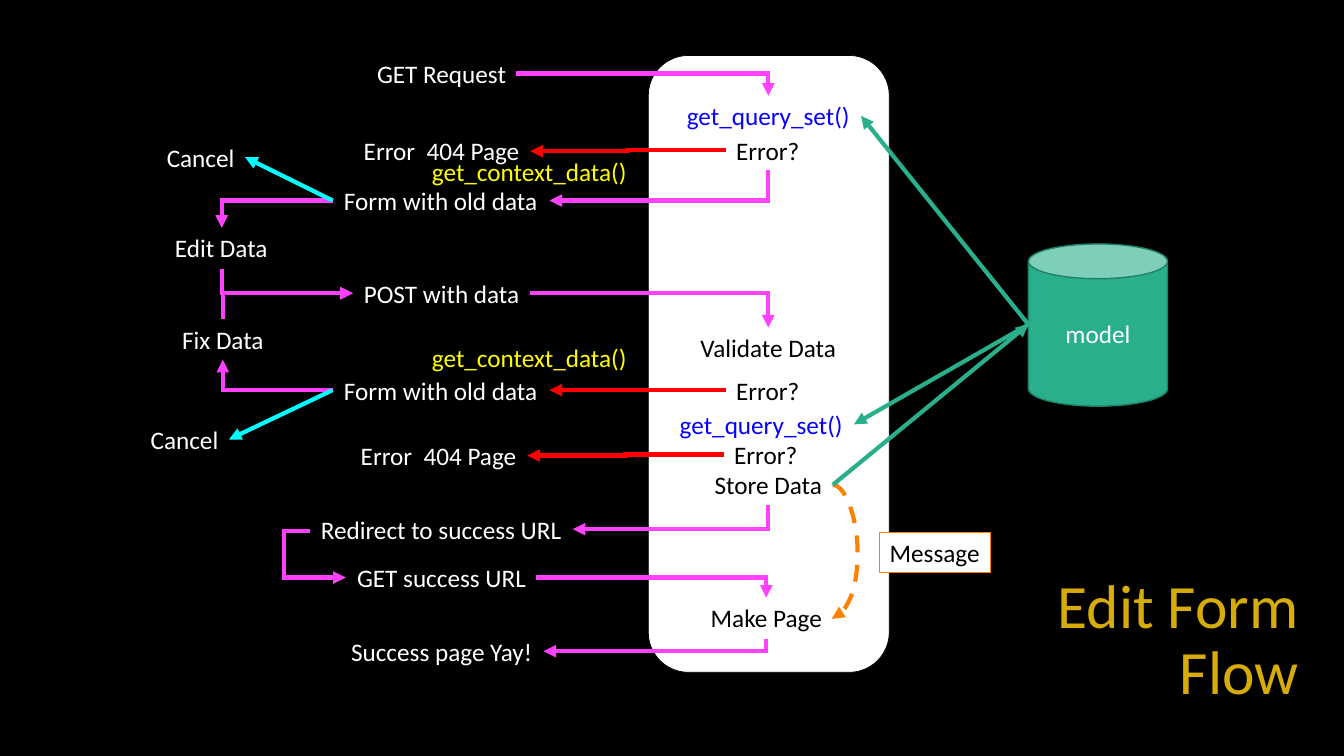
from dataclasses import dataclass
from enum import Enum
from typing import Optional

from lxml.etree import SubElement
from pptx import Presentation
from pptx.dml.color import RGBColor
from pptx.enum.dml import MSO_LINE
from pptx.enum.shapes import MSO_CONNECTOR, MSO_SHAPE
from pptx.enum.text import MSO_ANCHOR, PP_ALIGN
from pptx.oxml.ns import qn
from pptx.shapes.autoshape import Shape
from pptx.slide import Slide
from pptx.util import Inches, Pt

BLACK = RGBColor(0x00, 0x00, 0x00)
WHITE = RGBColor(0xFF, 0xFF, 0xFF)
GOLD = RGBColor(0xD7, 0xAC, 0x08)
BLUE = RGBColor(0x05, 0x00, 0xFF)
YELLOW = RGBColor(0xFF, 0xFF, 0x00)
MAGENTA = RGBColor(0xFF, 0x40, 0xFF)
RED = RGBColor(0xFF, 0x00, 0x00)
CYAN = RGBColor(0x00, 0xFD, 0xFF)
GREEN = RGBColor(0x29, 0xAF, 0x8C)
DARK_GREEN = RGBColor(0x1E, 0x81, 0x68)
ORANGE = RGBColor(0xFF, 0x7F, 0x00)

FONT = "Calibri"
LABEL_HEIGHT = 0.4


class Route(Enum):
    STRAIGHT = "line"
    ACROSS_FIRST = "bentConnector2"
    DOWN_FIRST = "bentConnector2 turned"
    STEPPED = "bentConnector3"
    CURVED = "curvedConnector3"


@dataclass(frozen=True)
class Label:
    text: str
    left: float
    top: float
    width: float
    color: RGBColor = WHITE


@dataclass(frozen=True)
class Arrow:
    start: tuple[float, float]
    end: tuple[float, float]
    color: RGBColor = MAGENTA
    route: Route = Route.STRAIGHT
    bend: Optional[float] = None  # share of the width where the route turns
    dashed: bool = False


LABELS = [
    # Browser side
    Label("GET Request", 3.63, 0.53, 1.5),
    Label("Error  404 Page", 3.5, 1.29, 1.76),
    Label("get_context_data()", 4.17, 1.5, 2.16, YELLOW),
    Label("Form with old data", 3.3, 1.79, 2.14),
    Label("Cancel", 1.55, 1.36, 0.88),
    Label("Edit Data", 1.63, 2.26, 1.13),
    Label("POST with data", 3.5, 2.71, 1.76),
    Label("Fix Data", 1.7, 3.17, 1.02),
    Label("get_context_data()", 4.17, 3.35, 2.16, YELLOW),
    Label("Form with old data", 3.3, 3.67, 2.14),
    Label("Cancel", 1.39, 4.16, 0.88),
    Label("Error  404 Page", 3.47, 4.32, 1.76),
    Label("Redirect to success URL", 3.07, 5.05, 2.61),
    Label("GET success URL", 3.43, 5.53, 1.9),
    Label("Success page Yay!", 3.37, 6.26, 2.02),
    # Server side
    Label("get_query_set()", 6.7, 0.95, 1.84, BLUE),
    Label("Error?", 7.2, 1.29, 0.83, BLACK),
    Label("Validate Data", 6.84, 3.25, 1.56, BLACK),
    Label("Error?", 7.2, 3.67, 0.83, BLACK),
    Label("get_query_set()", 6.63, 4.01, 1.84, BLUE),
    Label("Error?", 7.18, 4.31, 0.83, BLACK),
    Label("Store Data", 6.98, 4.61, 1.28, BLACK),
    Label("Make Page", 6.94, 5.93, 1.32, BLACK),
]

ARROWS = [
    # Showing the form
    Arrow((5.12, 0.73), (7.62, 0.95), route=Route.ACROSS_FIRST),
    Arrow((7.2, 1.49), (5.26, 1.5), RED, Route.STEPPED),
    Arrow((7.62, 1.69), (5.45, 1.99), route=Route.DOWN_FIRST),
    Arrow((3.3, 1.99), (2.2, 2.26), route=Route.ACROSS_FIRST),
    Arrow((3.3, 1.99), (2.43, 1.56), CYAN),
    # Posting and correcting
    Arrow((2.2, 2.67), (3.5, 2.91), route=Route.DOWN_FIRST),
    Arrow((5.26, 2.91), (7.62, 3.25), route=Route.ACROSS_FIRST),
    Arrow((7.2, 3.87), (5.45, 3.87), RED, Route.STEPPED),
    Arrow((3.3, 3.87), (2.21, 3.57), route=Route.ACROSS_FIRST),
    Arrow((2.21, 3.17), (3.5, 2.91), route=Route.DOWN_FIRST),
    Arrow((3.3, 3.87), (2.27, 4.36), CYAN),
    Arrow((7.18, 4.51), (5.23, 4.52), RED, Route.STEPPED),
    # Success
    Arrow((7.62, 5.01), (5.68, 5.25), route=Route.DOWN_FIRST),
    Arrow((3.07, 5.27), (3.43, 5.73), route=Route.STEPPED, bend=-0.7),
    Arrow((5.32, 5.73), (7.6, 5.93), route=Route.ACROSS_FIRST),
    Arrow((7.6, 6.34), (5.39, 6.46), route=Route.DOWN_FIRST),
    Arrow((8.26, 4.81), (8.25, 6.14), ORANGE, Route.CURVED, -25, True),
    # Model access
    Arrow((10.2, 3.22), (8.54, 1.15), GREEN),
    Arrow((10.2, 3.22), (8.47, 4.21), GREEN),
    Arrow((8.26, 4.81), (10.2, 3.22), GREEN),
]


def write(box: Shape, text: str, color: RGBColor, size: int = 18,
          align: PP_ALIGN = PP_ALIGN.CENTER) -> None:
    box.text_frame.text = text
    para = box.text_frame.paragraphs[0]
    para.alignment = align
    para.font.name = FONT
    para.font.size = Pt(size)
    para.font.color.rgb = color


def add_label(page: Slide, label: Label) -> None:
    box = page.shapes.add_textbox(Inches(label.left), Inches(label.top),
                                  Inches(label.width), Inches(LABEL_HEIGHT))
    box.text_frame.word_wrap = False
    write(box, label.text, label.color)


def add_panel(page: Slide, kind: MSO_SHAPE, left: float, top: float, width: float,
              height: float, fill: RGBColor, outline: RGBColor, weight: float) -> Shape:
    panel = page.shapes.add_shape(kind, Inches(left), Inches(top),
                                  Inches(width), Inches(height))
    panel.shadow.inherit = False
    panel.fill.solid()
    panel.fill.fore_color.rgb = fill
    panel.line.color.rgb = outline
    panel.line.width = Pt(weight)
    return panel


def add_arrow(page: Slide, arrow: Arrow) -> None:
    (x1, y1), (x2, y2) = arrow.start, arrow.end
    turned = arrow.route is Route.DOWN_FIRST
    if turned:
        # Lay the ends out a quarter turn back about the centre
        middle_x, middle_y = (x1 + x2) / 2, (y1 + y2) / 2
        half_x, half_y = (y2 - y1) / 2, (x1 - x2) / 2
        x1, x2 = middle_x - half_x, middle_x + half_x
        y1, y2 = middle_y - half_y, middle_y + half_y
    connector = page.shapes.add_connector(MSO_CONNECTOR.STRAIGHT, Inches(x1), Inches(y1),
                                          Inches(x2), Inches(y2))
    connector.line.color.rgb = arrow.color
    connector.line.width = Pt(3)
    if arrow.dashed:
        connector.line.dash_style = MSO_LINE.DASH

    properties = connector.element.spPr
    if turned:
        properties.find(qn("a:xfrm")).set("rot", str(90 * 60000))
    geometry = properties.find(qn("a:prstGeom"))
    geometry.set("prst", arrow.route.value.split()[0])
    if arrow.bend is not None:
        SubElement(geometry.find(qn("a:avLst")), qn("a:gd"), name="adj1",
                   fmla=f"val {round(arrow.bend * 100000)}")
    outline = properties.find(qn("a:ln"))
    SubElement(outline, qn("a:miter"), lim="800000")
    SubElement(outline, qn("a:tailEnd"), type="triangle")
    SubElement(properties, qn("a:effectLst"))


def add_title(page: Slide) -> None:
    title = page.shapes.add_textbox(Inches(10), Inches(5.64), Inches(2.98), Inches(1.45))
    title.text_frame.word_wrap = True
    title.text_frame.vertical_anchor = MSO_ANCHOR.MIDDLE
    write(title, "Edit Form Flow", GOLD, 44, PP_ALIGN.RIGHT)
    title.text_frame.paragraphs[0].line_spacing = 0.9


def main() -> None:
    deck = Presentation()
    deck.slide_width, deck.slide_height = Inches(13.33), Inches(7.5)
    page = deck.slides.add_slide(deck.slide_layouts[6])
    page.background.fill.solid()
    page.background.fill.fore_color.rgb = BLACK

    add_title(page)
    add_panel(page, MSO_SHAPE.ROUNDED_RECTANGLE, 6.43, 0.55, 2.39, 6.12, WHITE, BLACK, 0.5)
    model = add_panel(page, MSO_SHAPE.CAN, 10.2, 2.42, 1.38, 1.61, GREEN, DARK_GREEN, 1)
    write(model, "model", WHITE)
    for label in LABELS:
        add_label(page, label)
    for arrow in ARROWS:
        add_arrow(page, arrow)
    message = add_panel(page, MSO_SHAPE.RECTANGLE, 8.72, 5.28, 1.1, LABEL_HEIGHT,
                        WHITE, ORANGE, 0.75)
    message.text_frame.word_wrap = False
    write(message, "Message", BLACK)
    deck.save("out.pptx")


if __name__ == "__main__":
    main()
